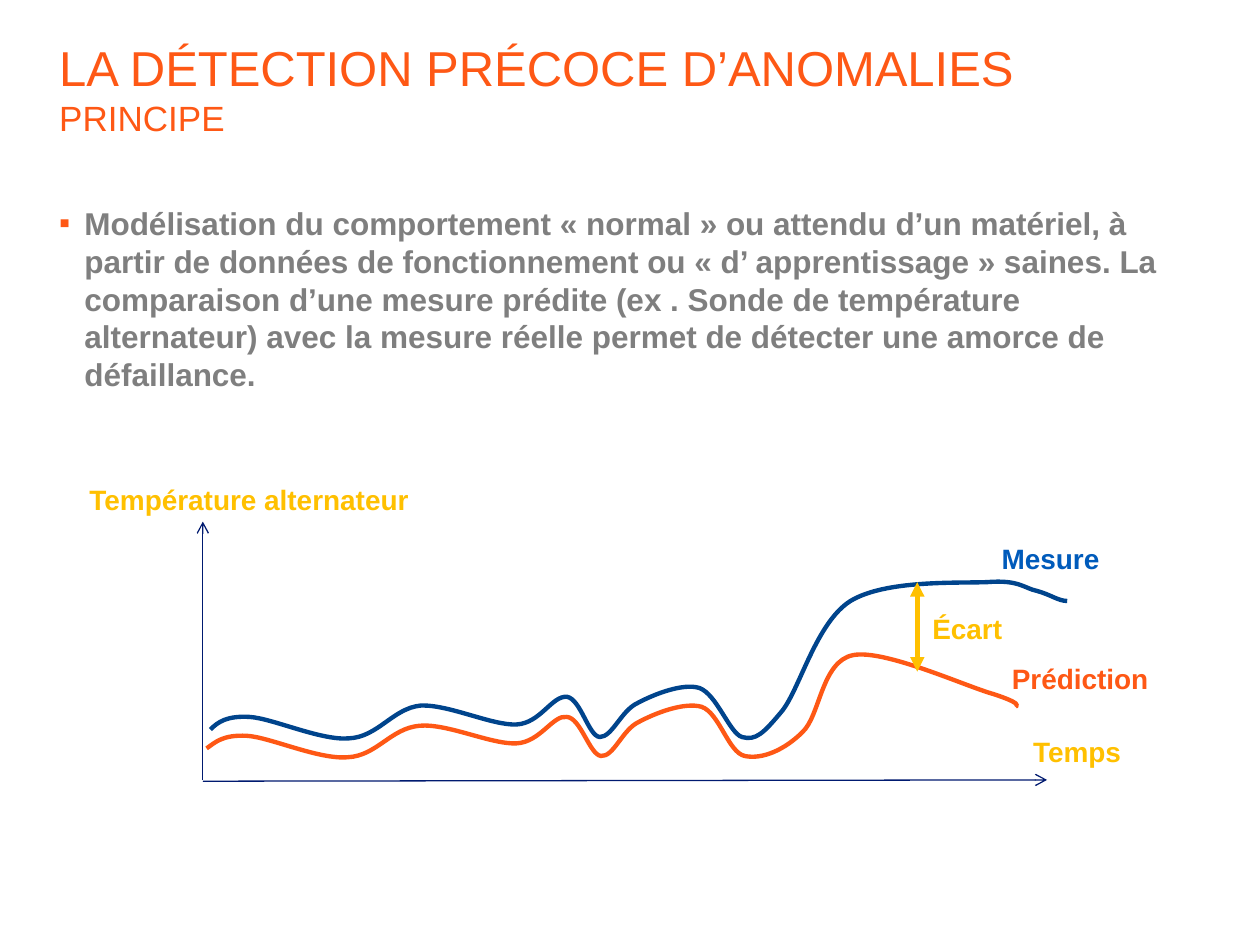
from lxml.etree import SubElement
from pptx import Presentation
from pptx.dml.color import RGBColor
from pptx.enum.shapes import MSO_CONNECTOR
from pptx.enum.text import MSO_ANCHOR, MSO_AUTO_SIZE, PP_ALIGN
from pptx.oxml.ns import qn
from pptx.util import Inches, Pt

ORANGE = RGBColor(0xFE, 0x58, 0x15)
GREY = RGBColor(0x7F, 0x7F, 0x7F)
NAVY = RGBColor(0x00, 0x1A, 0x70)
DARK_BLUE = RGBColor(0x00, 0x44, 0x8C)
BLUE = RGBColor(0x00, 0x5B, 0xBB)
GOLD = RGBColor(0xFF, 0xC0, 0x00)

# Content
TITLE = [("LA DÉTECTION PRÉCOCE D’ANOMALIES", 28), ("PRINCIPE", 20)]
PRINCIPLE = (
    "Modélisation du comportement « normal » ou attendu d’un matériel, à partir "
    "de données de fonctionnement ou « d’ apprentissage » saines. La comparaison "
    "d’une mesure prédite (ex . Sonde de température alternateur) avec la mesure "
    "réelle permet de détecter une amorce de défaillance."
)
LABELS = [  # text, left, top, width, colour
    ("Temps", 8.16, 5.83, 1.1, GOLD),
    ("Température alternateur", 0.67, 3.83, 2.99, GOLD),
    ("Mesure", 7.91, 4.3, 0.87, BLUE),
    ("Prédiction", 7.99, 5.25, 1.18, ORANGE),
    ("Écart", 7.36, 4.85, 0.87, GOLD),
]
ARROWS = [  # start, end, colour, width, line ends
    ((1.61, 6.19), (1.61, 4.14), NAVY, 0.75, {"tailEnd": "arrow"}),
    ((1.61, 6.2), (8.31, 6.19), NAVY, 0.75, {"tailEnd": "arrow"}),
    ((7.28, 4.62), (7.28, 5.33), GOLD, 2.75,
     {"headEnd": "triangle", "tailEnd": "triangle"}),
]
# Cubic curves: a start point, then two controls and an end point per segment
PREDICTION = [
    (1.64, 5.94),
    (1.71, 5.89), (1.77, 5.83), (1.96, 5.84),
    (2.14, 5.85), (2.53, 6.03), (2.76, 6.01),
    (2.99, 6.0), (3.1, 5.78), (3.33, 5.76),
    (3.55, 5.74), (3.9, 5.91), (4.1, 5.9),
    (4.29, 5.89), (4.39, 5.67), (4.5, 5.69),
    (4.61, 5.7), (4.68, 5.99), (4.77, 6.0),
    (4.87, 6.01), (4.94, 5.79), (5.07, 5.73),
    (5.2, 5.66), (5.43, 5.57), (5.57, 5.61),
    (5.71, 5.66), (5.78, 5.97), (5.91, 6.0),
    (6.05, 6.03), (6.23, 5.95), (6.37, 5.81),
    (6.51, 5.68), (6.52, 5.25), (6.77, 5.2),
    (7.02, 5.15), (7.67, 5.45), (7.89, 5.51),
    (8.1, 5.58), (8.08, 5.6), (8.06, 5.61),
]
MEASURE = [
    (1.67, 5.79),
    (1.73, 5.73), (1.8, 5.68), (1.98, 5.69),
    (2.16, 5.7), (2.55, 5.88), (2.77, 5.86),
    (3.0, 5.85), (3.12, 5.62), (3.34, 5.6),
    (3.56, 5.59), (3.91, 5.76), (4.1, 5.75),
    (4.29, 5.74), (4.38, 5.52), (4.5, 5.53),
    (4.61, 5.55), (4.67, 5.84), (4.76, 5.85),
    (4.86, 5.85), (4.93, 5.64), (5.06, 5.58),
    (5.19, 5.51), (5.42, 5.42), (5.55, 5.46),
    (5.69, 5.51), (5.79, 5.82), (5.89, 5.85),
    (6.0, 5.88), (6.06, 5.82), (6.21, 5.64),
    (6.35, 5.46), (6.48, 4.94), (6.75, 4.77),
    (7.03, 4.6), (7.6, 4.63), (7.84, 4.62),
    (8.09, 4.6), (8.13, 4.67), (8.23, 4.69),
    (8.34, 4.72), (8.4, 4.77), (8.47, 4.77),
]


def write_text(paragraph, text, *, size, color, bold=False):
    run = paragraph.add_run()
    run.text = text
    run.font.name = "Arial"
    run.font.size = Pt(size)
    run.font.bold = bold
    run.font.color.rgb = color


def prepare_frame(shape, left, top, width, height):
    shape.left, shape.top = Inches(left), Inches(top)
    shape.width, shape.height = Inches(width), Inches(height)
    frame = shape.text_frame
    frame.word_wrap = True
    frame.auto_size = MSO_AUTO_SIZE.NONE
    frame.vertical_anchor = MSO_ANCHOR.TOP
    frame.margin_left = frame.margin_right = Inches(0.04)
    frame.margin_top = frame.margin_bottom = 0
    paragraph = frame.paragraphs[0]
    paragraph.alignment = PP_ALIGN.LEFT
    return paragraph


def add_bullet(paragraph, symbol, color):
    properties = paragraph._p.get_or_add_pPr()
    properties.set("marL", str(Inches(0.2)))
    properties.set("indent", str(-Inches(0.2)))
    bullet_color = SubElement(properties, qn("a:buClr"))
    SubElement(bullet_color, qn("a:srgbClr"), val=str(color))
    SubElement(properties, qn("a:buFont"), typeface="Arial")
    SubElement(properties, qn("a:buChar"), char=symbol)


def add_curve(slide, points, color):
    start, *rest = [(Inches(x), Inches(y)) for x, y in points]
    builder = slide.shapes.build_freeform(*start, scale=1.0)
    builder.add_line_segments(rest, close=False)
    curve = builder.convert_to_shape()
    # Each three straight segments become one cubic segment
    segments = list(curve._element.iter(qn("a:lnTo")))
    outline = segments[0].getparent()
    for i in range(0, len(segments), 3):
        cubic = SubElement(outline, qn("a:cubicBezTo"))
        for segment in segments[i:i + 3]:
            cubic.append(segment[0])
            outline.remove(segment)
    curve.shadow.inherit = False
    curve.fill.background()
    curve.line.color.rgb = color
    curve.line.width = Pt(2.5)


def add_arrow(slide, start, end, color, width, ends):
    arrow = slide.shapes.add_connector(
        MSO_CONNECTOR.STRAIGHT, *map(Inches, start + end))
    arrow.line.color.rgb = color
    arrow.line.width = Pt(width)
    line = arrow.line._get_or_add_ln()
    for tag, kind in ends.items():
        SubElement(line, qn(f"a:{tag}"), type=kind)
    SubElement(arrow._element.spPr, qn("a:effectLst"))


def main():
    presentation = Presentation()
    presentation.slide_width, presentation.slide_height = Inches(10), Inches(7.5)
    slide = presentation.slides.add_slide(presentation.slide_layouts[5])

    # Title
    heading = prepare_frame(slide.shapes.title, 0.43, 0.3, 9.29, 0.93)
    for i, (text, size) in enumerate(TITLE):
        if i:
            heading.add_line_break()
        write_text(heading, text, size=size, color=ORANGE)

    # Principle
    principle_box = slide.shapes.add_textbox(0, 0, 0, 0)
    principle = prepare_frame(principle_box, 0.43, 1.62, 9.14, 4.47)
    add_bullet(principle, "▪", ORANGE)
    write_text(principle, PRINCIPLE, size=18, color=GREY, bold=True)

    # Temperature diagram
    for arrow in ARROWS[:2]:
        add_arrow(slide, *arrow)
    add_curve(slide, PREDICTION, ORANGE)
    add_curve(slide, MEASURE, DARK_BLUE)
    add_arrow(slide, *ARROWS[2])
    for text, left, top, width, color in LABELS:
        label = prepare_frame(slide.shapes.add_textbox(0, 0, 0, 0), left, top, width, 0.27)
        write_text(label, text, size=16, color=color, bold=True)

    presentation.save("out.pptx")


if __name__ == "__main__":
    main()
